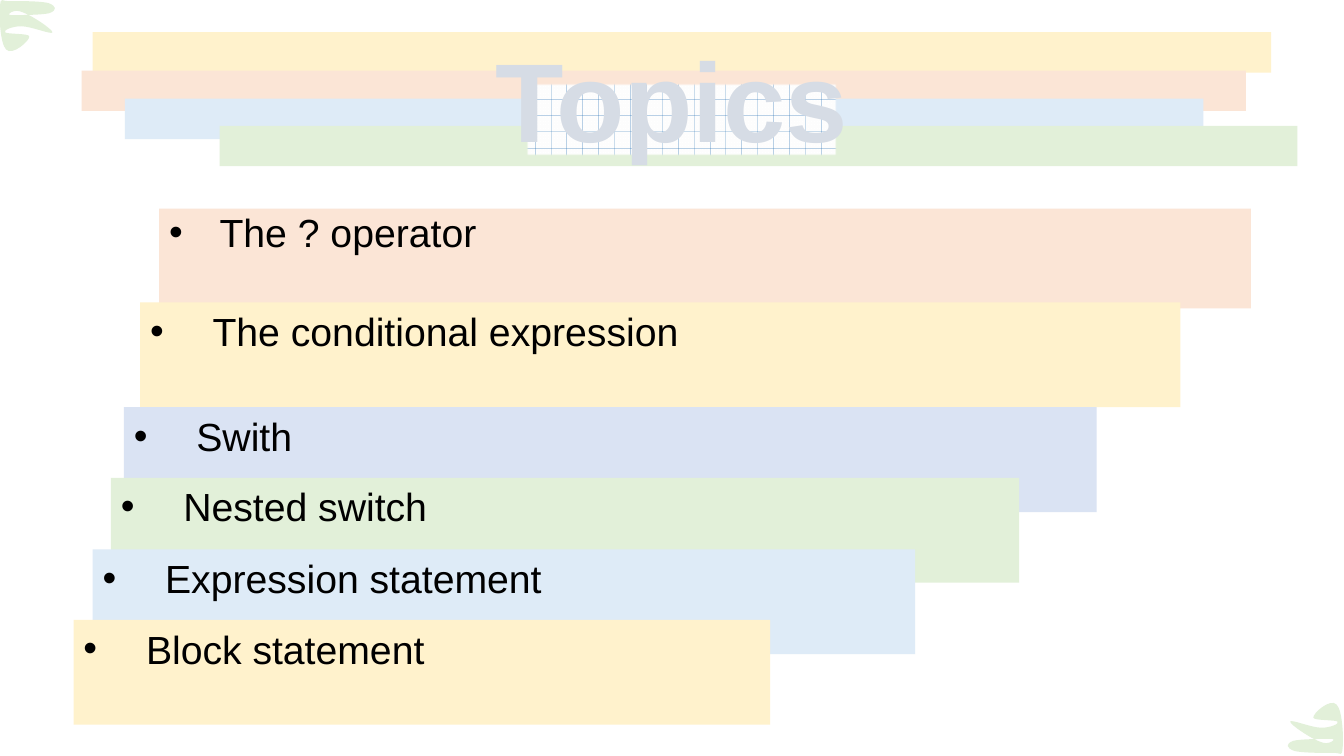
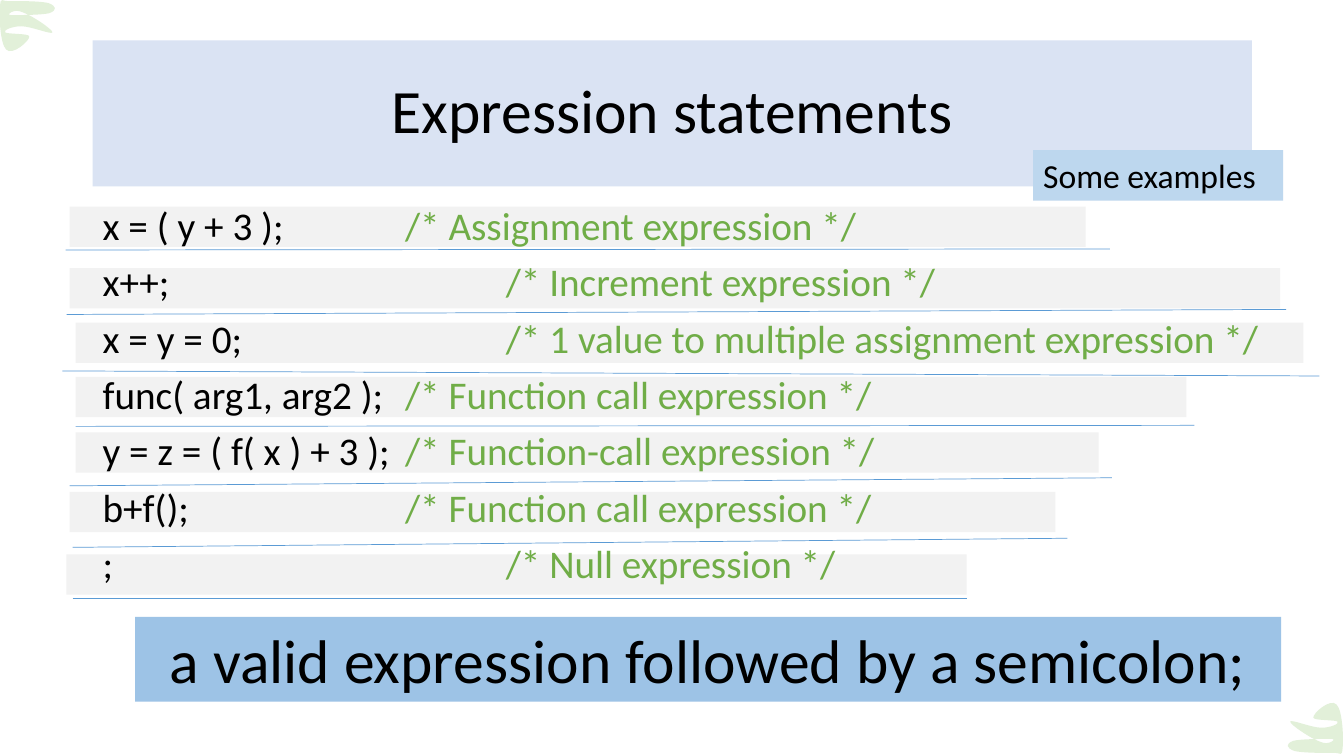
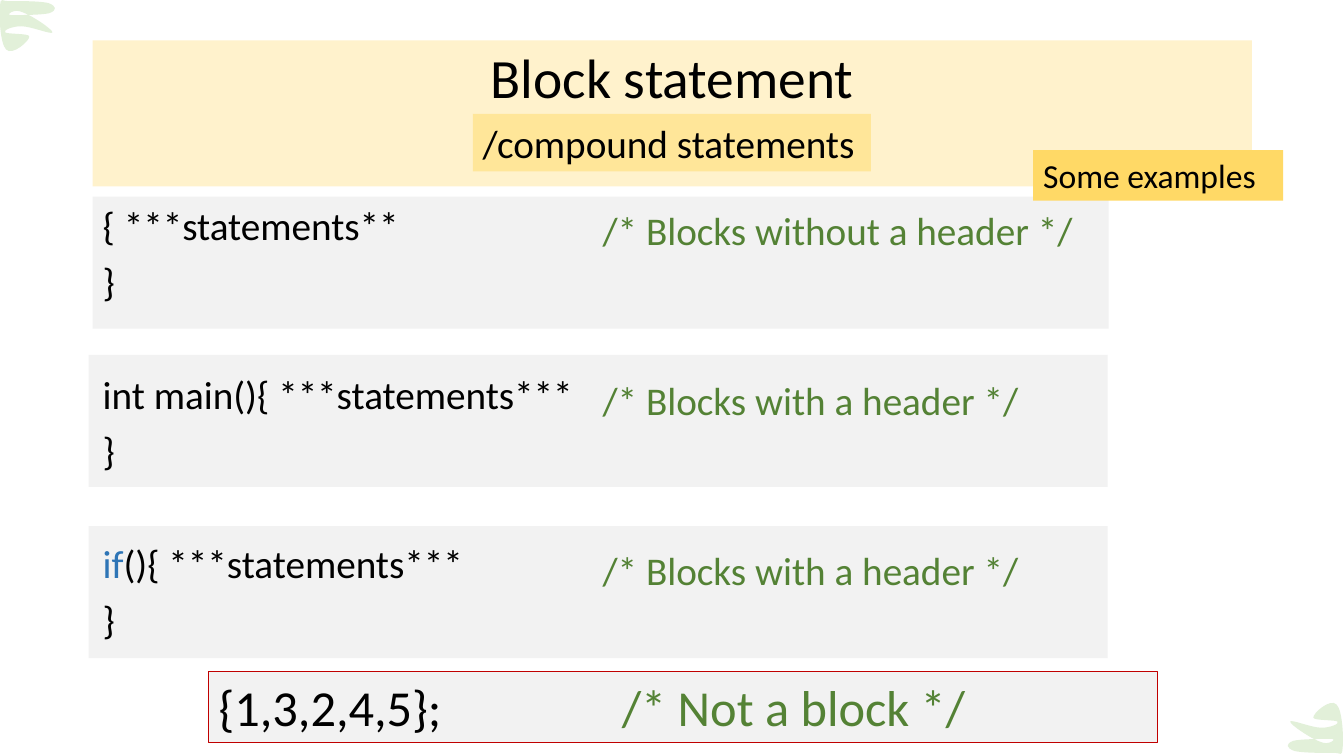
from dataclasses import dataclass
from typing import NamedTuple

from lxml.etree import SubElement
from pptx import Presentation
from pptx.dml.color import RGBColor
from pptx.enum.dml import MSO_PATTERN
from pptx.enum.shapes import MSO_CONNECTOR, MSO_SHAPE
from pptx.enum.text import MSO_ANCHOR, PP_ALIGN
from pptx.oxml.ns import qn
from pptx.shapes.autoshape import Shape
from pptx.slide import Slide
from pptx.text.text import Font, _Paragraph as Paragraph
from pptx.util import Inches, Pt

# Colours
BLACK = RGBColor(0x00, 0x00, 0x00)
WHITE = RGBColor(0xFF, 0xFF, 0xFF)
CREAM = RGBColor(0xFF, 0xF2, 0xCC)
PEACH = RGBColor(0xFB, 0xE5, 0xD6)
ICE = RGBColor(0xDE, 0xEB, 0xF7)
MINT = RGBColor(0xE2, 0xF0, 0xD9)
LAVENDER = RGBColor(0xDA, 0xE3, 0xF3)
GREY = RGBColor(0xF2, 0xF2, 0xF2)
SKY = RGBColor(0xBD, 0xD7, 0xEE)
AZURE = RGBColor(0x9D, 0xC3, 0xE6)
SAND = RGBColor(0xFF, 0xE6, 0x99)
GOLD = RGBColor(0xFF, 0xD9, 0x66)
BLUE = RGBColor(0x5B, 0x9B, 0xD5)
DARK_BLUE = RGBColor(0x2E, 0x75, 0xB6)
GREEN = RGBColor(0x70, 0xAD, 0x47)
DARK_GREEN = RGBColor(0x54, 0x82, 0x35)
RED = RGBColor(0xC0, 0x00, 0x00)
SLATE = RGBColor(0x44, 0x54, 0x6A)
PALE_SLATE = RGBColor(0xD6, 0xDC, 0xE5)
OUTLINE = RGBColor(0x33, 0x3F, 0x50)

BODY_FONT = "Calibri"
TOPIC_FONT = "Arial"


class Box(NamedTuple):
    left: float
    top: float
    width: float
    height: float


class Part(NamedTuple):
    text: str
    color: RGBColor = BLACK


@dataclass
class Topic:
    text: str
    box: Box
    color: RGBColor
    indent: float = 0.62
    top_inset: float = 0.05


@dataclass
class Example:
    code: str
    comment: str
    tab: float
    strip: Box
    line: tuple[float, float, float, float]


@dataclass
class Block:
    strip: Box
    comment_top: float
    comment: str
    first_line: list[Part]


TITLE_BOX = Box(0.92, 0.4, 11.5, 1.45)
TAG_BOX = Box(10.25, 1.49, 2.48, 0.5)

# Leaf: the bottom right corner, and the same turned round at the top left
LEAF_BOX = Box(12.77, 6.97, 0.55, 0.51)
LEAF_TURNED_BOX = Box(0, 0, 0.55, 0.51)
LEAF_START = (13.32, 7.42)
LEAF_CURVES = [
    ((13.33, 7.33), (13.32, 7.05), (13.26, 6.99)),
    ((13.2, 6.92), (13.02, 7.08), (13.03, 7.12)),
    ((13.03, 7.15), (13.26, 7.14), (13.27, 7.16)),
    ((13.29, 7.18), (13.2, 7.22), (13.11, 7.22)),
    ((13.01, 7.22), (12.8, 7.13), (12.8, 7.16)),
    ((12.8, 7.19), (13.01, 7.33), (13.1, 7.36)),
    ((13.18, 7.4), (13.27, 7.33), (13.21, 7.33)),
    ((13.16, 7.33), (12.9, 7.33), (12.83, 7.35)),
    ((12.75, 7.38), (12.76, 7.42), (12.84, 7.45)),
    ((12.92, 7.47), (13.12, 7.47), (13.21, 7.47)),
    ((13.31, 7.46), (13.31, 7.52), (13.32, 7.42)),
]

TITLE_BANDS = [
    (Box(0.92, 0.32, 11.69, 0.4), CREAM),
    (Box(0.81, 0.7, 11.55, 0.4), PEACH),
    (Box(1.24, 0.98, 10.7, 0.4), ICE),
    (Box(2.18, 1.25, 10.69, 0.4), MINT),
]

TOPICS = [
    Topic("The ? operator", Box(1.58, 2.07, 10.83, 0.99), PEACH, 0.5, 0),
    Topic("The conditional expression", Box(1.39, 3, 10.32, 1.04), CREAM),
    Topic("Swith", Box(1.23, 4.04, 9.65, 1.04), LAVENDER),
    Topic("Nested switch", Box(1.1, 4.74, 9.01, 1.04), MINT),
    Topic("Expression statement", Box(0.92, 5.45, 8.16, 1.04), ICE),
    Topic("Block statement", Box(0.73, 6.15, 6.91, 1.04), CREAM),
]

EXAMPLES = [
    Example("x = ( y + 3 );", "/* Assignment expression */", 3,
            Box(0.69, 2.05, 10.08, 0.4), (0.65, 2.48, 11.01, 2.47)),
    Example("x++;", "/* Increment expression */", 4,
            Box(0.69, 2.66, 12.01, 0.4), (0.66, 3.12, 12.76, 3.07)),
    Example("x = y = 0;", "/* 1 value to multiple assignment expression */", 4,
            Box(0.75, 3.2, 12.18, 0.4), (0.62, 3.68, 13.09, 3.73)),
    Example("func( arg1, arg2 );", "/* Function call expression */", 3,
            Box(0.75, 3.74, 11.02, 0.4), (0.75, 4.23, 11.85, 4.22)),
    Example("y = z = ( f( x ) + 3 );", "/* Function-call expression */", 3,
            Box(0.75, 4.29, 10.15, 0.4), (0.69, 4.82, 11.03, 4.74)),
    Example("b+f();", "/* Function call expression */", 3,
            Box(0.69, 4.88, 9.78, 0.4), (0.72, 5.43, 10.59, 5.34)),
    Example(";", "/* Null expression */", 4,
            Box(0.66, 5.5, 8.93, 0.4), (0.72, 5.94, 9.59, 5.94)),
]

BLOCKS = [
    Block(Box(0.92, 1.95, 10.08, 1.31), 2, "/* Blocks without a header */",
          [Part("{ ***statements**")]),
    Block(Box(0.88, 3.52, 10.11, 1.31), 3.68, "/* Blocks with a header */",
          [Part("int main(){ ***statements***")]),
    Block(Box(0.88, 5.22, 10.11, 1.31), 5.37, "/* Blocks with a header */",
          [Part("if", DARK_BLUE), Part("(){ ***statements***")]),
]


# Shared drawing functions
def add_box(slide: Slide, box: Box, color: RGBColor | None = None) -> Shape:
    """Add a rectangle, or a text box when there is no colour."""
    place = [Inches(length) for length in box]
    if color is None:
        shape = slide.shapes.add_textbox(*place)
    else:
        shape = slide.shapes.add_shape(MSO_SHAPE.RECTANGLE, *place)
        paint(shape, color)
    shape.text_frame.word_wrap = True
    shape.text_frame.vertical_anchor = MSO_ANCHOR.TOP
    return shape


def paint(shape: Shape, color: RGBColor) -> None:
    shape.shadow.inherit = False
    shape.fill.solid()
    shape.fill.fore_color.rgb = color
    shape.line.fill.background()


def write(paragraph: Paragraph, parts: list[Part], size: float,
          font_name: str = BODY_FONT, align: PP_ALIGN = PP_ALIGN.LEFT) -> None:
    paragraph.alignment = align
    for part in parts:
        run = paragraph.add_run()
        run.text = part.text
        run.font.size = Pt(size)
        run.font.name = font_name
        run.font.color.rgb = part.color


def add_label(slide: Slide, box: Box, parts: list[Part], size: float,
              color: RGBColor | None = None,
              align: PP_ALIGN = PP_ALIGN.LEFT) -> Shape:
    shape = add_box(slide, box, color)
    write(shape.text_frame.paragraphs[0], parts, size, align=align)
    return shape


def add_title(slide: Slide, text: str, size: float, color: RGBColor) -> Shape:
    shape = add_label(slide, TITLE_BOX, [Part(text)], size, color, PP_ALIGN.CENTER)
    shape.text_frame.vertical_anchor = MSO_ANCHOR.MIDDLE
    shape.text_frame.paragraphs[0].line_spacing = 0.9
    return shape


def add_code_line(shape: Shape, index: int, parts: list[Part],
                  space_before: float = 10) -> Paragraph:
    frame = shape.text_frame
    paragraph = frame.add_paragraph() if index else frame.paragraphs[0]
    paragraph.line_spacing = 0.9
    paragraph.space_before = Pt(space_before)
    write(paragraph, parts, 28)
    return paragraph


def set_tab(paragraph: Paragraph, position: float) -> None:
    tabs = SubElement(paragraph._p.get_or_add_pPr(), qn("a:tabLst"))
    SubElement(tabs, qn("a:tab"), pos=str(Inches(position)), algn="l")


def set_bullet(paragraph: Paragraph, indent: float) -> None:
    properties = paragraph._p.get_or_add_pPr()
    properties.set("marL", str(Inches(indent)))
    properties.set("indent", str(-Inches(indent)))
    SubElement(properties, qn("a:buFont"), typeface=TOPIC_FONT)
    SubElement(properties, qn("a:buChar"), char="•")


def set_outline(font: Font, color: RGBColor) -> None:
    line = SubElement(font._rPr, qn("a:ln"), w=str(Pt(1)))
    fill = SubElement(line, qn("a:solidFill"))
    SubElement(fill, qn("a:srgbClr"), val=str(color))
    font._rPr.insert(0, line)


def soften_edges(shape: Shape, radius: float) -> None:
    effects = shape._element.spPr.find(qn("a:effectLst"))
    SubElement(effects, qn("a:softEdge"), rad=str(Pt(radius)))


def add_line(slide: Slide, ends: tuple[float, float, float, float]) -> None:
    connector = slide.shapes.add_connector(
        MSO_CONNECTOR.STRAIGHT, *(Inches(end) for end in ends))
    connector.line.color.rgb = BLUE
    connector.line.width = Pt(0.5)
    SubElement(connector._element.spPr, qn("a:effectLst"))


def add_leaf(slide: Slide, box: Box, rotation: float) -> None:
    """Build the outline, then swap its straight segments for Bezier curves."""
    builder = slide.shapes.build_freeform(*map(Inches, LEAF_START))
    builder.add_line_segments(
        [(Inches(x), Inches(y)) for *_, (x, y) in LEAF_CURVES], close=True)
    leaf = builder.convert_to_shape()
    leaf.left, leaf.top, leaf.width, leaf.height = map(Inches, box)
    leaf.rotation = rotation
    paint(leaf, MINT)

    outline = next(leaf._element.iter(qn("a:path")))
    outline.set("w", str(leaf.width))
    outline.set("h", str(leaf.height))
    for segment in list(outline):
        outline.remove(segment)
    steps = [("a:moveTo", [LEAF_START])]
    steps += [("a:cubicBezTo", curve) for curve in LEAF_CURVES]
    for tag, points in steps:
        segment = SubElement(outline, qn(tag))
        for x, y in points:
            SubElement(segment, qn("a:pt"), x=str(Inches(x - LEAF_BOX.left)),
                       y=str(Inches(y - LEAF_BOX.top)))
    SubElement(outline, qn("a:close"))


# Slides
def draw_topics(slide: Slide) -> None:
    # Title on coloured bands and a dotted grid
    for box, color in TITLE_BANDS:
        add_box(slide, box, color)
    grid = add_box(slide, Box(5.22, 0.83, 3.08, 0.71), WHITE)
    grid.fill.patterned()
    grid.fill.pattern = MSO_PATTERN.DOTTED_GRID
    grid.fill.fore_color.rgb = DARK_BLUE
    grid.fill.back_color.rgb = WHITE
    soften_edges(grid, 1)
    title = add_box(slide, Box(0.92, 0.33, 11.5, 1.45))
    title.text_frame.vertical_anchor = MSO_ANCHOR.MIDDLE
    paragraph = title.text_frame.paragraphs[0]
    paragraph.line_spacing = 0.9
    write(paragraph, [Part("Topics")], 80, TOPIC_FONT, PP_ALIGN.CENTER)
    font = paragraph.runs[0].font
    font.bold = True
    font.fill.patterned()
    font.fill.pattern = MSO_PATTERN.DARK_UPWARD_DIAGONAL
    font.fill.fore_color.rgb = SLATE
    font.fill.back_color.rgb = PALE_SLATE
    set_outline(font, OUTLINE)

    # Staircase of topics
    for topic in TOPICS:
        shape = add_box(slide, topic.box, topic.color)
        shape.text_frame.margin_top = Inches(topic.top_inset)
        paragraph = shape.text_frame.paragraphs[0]
        write(paragraph, [Part(topic.text)], 28, TOPIC_FONT)
        set_bullet(paragraph, topic.indent)


def draw_expressions(slide: Slide) -> None:
    for example in reversed(EXAMPLES):
        add_box(slide, example.strip, GREY)
    add_title(slide, "Expression statements", 44, LAVENDER)

    # Code with comments
    code = add_box(slide, Box(0.92, 2, 11.81, 4.76))
    for index, example in enumerate(EXAMPLES):
        parts = [Part(example.code + "\t"), Part(example.comment, GREEN)]
        set_tab(add_code_line(code, index, parts), example.tab)

    add_label(slide, TAG_BOX, [Part("Some examples")], 24, SKY)
    add_label(slide, Box(1.34, 6.12, 11.37, 0.84),
              [Part("a valid expression followed by a semicolon;")],
              44, AZURE, PP_ALIGN.CENTER)
    for example in EXAMPLES:
        add_line(slide, example.line)


def draw_blocks(slide: Slide) -> None:
    for block in reversed(BLOCKS):
        add_box(slide, block.strip, GREY)

    # Code, with a wide gap between blocks
    code = add_box(slide, Box(0.92, 2, 5.14, 4.76))
    for index, block in enumerate(BLOCKS):
        add_code_line(code, index, block.first_line, 50.3 if index else 10)
        add_code_line(code, index + 1, [Part("}")])

    # Title, raised to leave room for the subtitle
    title = add_title(slide, "Block statement", 39.6, CREAM)
    title.text_frame.margin_bottom = Inches(0.7)
    add_label(slide, Box(4.69, 1.13, 3.95, 0.57),
              [Part("/compound statements")], 28, SAND)
    add_label(slide, TAG_BOX, [Part("Some examples")], 24, GOLD)

    # Comments
    for block in BLOCKS:
        add_label(slide, Box(5.88, block.comment_top, 5.6, 0.57),
                  [Part(block.comment, DARK_GREEN)], 28)
    counterexample = add_label(
        slide, Box(2.07, 6.66, 9.41, 0.71),
        [Part("{1,3,2,4,5};\t"), Part("/* Not a block */", DARK_GREEN)], 36, GREY)
    counterexample.line.color.rgb = RED
    counterexample.line.width = Pt(0.75)
    set_tab(counterexample.text_frame.paragraphs[0], 4)


def main() -> None:
    presentation = Presentation()
    presentation.slide_width = Inches(40) // 3
    presentation.slide_height = Inches(7.5)
    for draw in (draw_topics, draw_expressions, draw_blocks):
        slide = presentation.slides.add_slide(presentation.slide_layouts[6])
        draw(slide)
        add_leaf(slide, LEAF_BOX, 0)
        add_leaf(slide, LEAF_TURNED_BOX, 180)
    presentation.save("out.pptx")


if __name__ == "__main__":
    main()
